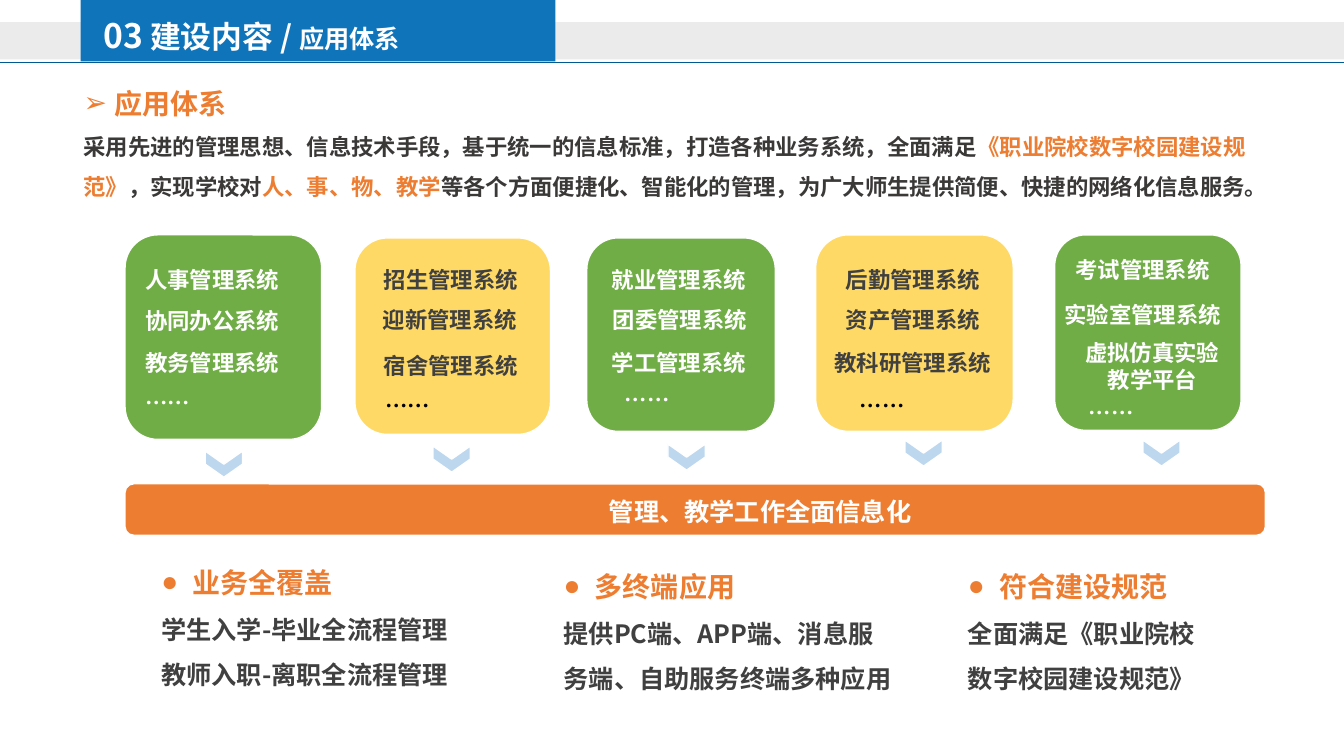
from dataclasses import dataclass

from lxml.etree import SubElement
from pptx import Presentation
from pptx.dml.color import RGBColor
from pptx.enum.shapes import MSO_CONNECTOR, MSO_SHAPE as SHAPE
from pptx.enum.text import PP_ALIGN as ALIGN
from pptx.oxml.ns import qn
from pptx.util import Pt

PX = 9144  # EMU per px, 100 px to the inch
FONT = "Noto Sans CJK SC"
WHITE, BLACK, DARK, INK = "FFFFFF", "000000", "404040", "3B3838"
ORANGE, GREEN, YELLOW = "ED7D31", "70AD47", "FFD966"
BLUE, NAVY, PALE, GREY = "1074BB", "015A92", "BDD7EE", "D9D9D9"


@dataclass
class Label:
    text: str
    x: int
    y: int
    w: int = 156
    h: int = 37


@dataclass
class Card:
    box: tuple[int, int, int, int]
    fill: str
    color: str
    labels: list[Label]
    dots: Label
    arrow: tuple[int, int]


@dataclass
class Benefit:
    box: tuple[int, int, int, int]
    title: str
    lines: list[str]


CARDS = [
    Card((124, 233, 195, 203), GREEN, WHITE,
         [Label("人事管理系统", 134, 259, 185), Label("协同办公系统", 134, 300, 185),
          Label("教务管理系统", 134, 341, 185)],
         Label("……", 134, 381, 185), (209, 442)),
    Card((352, 236, 194, 195), YELLOW, DARK,
         [Label("招生管理系统", 371, 259), Label("迎新管理系统", 370, 299),
          Label("宿舍管理系统", 371, 344)],
         Label("……", 372, 384, 185), (435, 437)),
    Card((582, 236, 187, 192), GREEN, WHITE,
         [Label("就业管理系统", 597, 259), Label("团委管理系统", 598, 299),
          Label("学工管理系统", 597, 341)],
         Label("……", 610, 378, 185), (668, 435)),
    Card((809, 233, 196, 195), YELLOW, DARK,
         [Label("后勤管理系统", 829, 259), Label("资产管理系统", 829, 299),
          Label("教科研管理系统", 818, 341, 187)],
         Label("……", 843, 384, 185), (903, 431)),
    Card((1046, 233, 185, 194), GREEN, WHITE,
         [Label("考试管理系统", 1057, 249, 164), Label("实验室管理系统", 1046, 294, 181),
          Label("虚拟仿真实验\n教学平台", 1046, 332, 194, 64)],
         Label("……", 1070, 391, 185), (1139, 431)),
]

BENEFITS = [
    Benefit((160, 544, 318, 135), "业务全覆盖",
            ["学生入学-毕业全流程管理", "教师入职-离职全流程管理"]),
    Benefit((559, 548, 332, 126), "多终端应用",
            ["提供PC端、APP端、消息服务端、自助服务终端多种应用"]),
    Benefit((960, 548, 248, 126), "符合建设规范",
            ["全面满足《职业院校数字校园建设规范》"]),
]

prs = Presentation()
prs.slide_width, prs.slide_height = 1333 * PX, 750 * PX
slide = prs.slides.add_slide(prs.slide_layouts[6])


def rgb(color: str) -> RGBColor:
    return RGBColor.from_string(color)


def add_box(kind, x: int, y: int, w: int, h: int, fill: str, line: str = ""):
    s = slide.shapes.add_shape(kind, x * PX, y * PX, w * PX, h * PX)
    s.shadow.inherit = False
    s.fill.solid()
    s.fill.fore_color.rgb = rgb(fill)
    if line:
        s.line.color.rgb = rgb(line)
        s.line.width = Pt(1)
    else:
        s.line.fill.background()
    return s


def add_frame(x: int, y: int, w: int, h: int, inset: bool = True):
    tf = slide.shapes.add_textbox(x * PX, y * PX, w * PX, h * PX).text_frame
    tf.word_wrap = True
    if not inset:
        tf.margin_left = tf.margin_right = tf.margin_top = tf.margin_bottom = 0
    return tf


def add_text(tf, *runs: tuple[str, int, str], first: bool = False, align=ALIGN.LEFT,
             spacing: float = 1.0, bullet: str = "") -> None:
    """Write one paragraph from (text, size, colour) runs."""
    p = tf.paragraphs[0] if first else tf.add_paragraph()
    p.alignment, p.line_spacing = align, spacing
    if bullet:
        pPr = p._p.get_or_add_pPr()
        pPr.set("marL", str(31 * PX))
        pPr.set("indent", str(-31 * PX))
        SubElement(pPr, qn("a:buFont"), typeface="Arial")
        SubElement(pPr, qn("a:buChar"), char=bullet)
    for text, size, color in runs:
        r = p.add_run()
        r.text = text
        r.font.size, r.font.bold, r.font.name = Pt(size), True, FONT
        r.font.color.rgb = rgb(color)
        SubElement(r._r.get_or_add_rPr(), qn("a:ea"), typeface=FONT)


def add_label(label: Label, color: str, size: int = 16) -> None:
    tf = add_frame(label.x, label.y, label.w, label.h)
    lines = label.text.split("\n")
    align = ALIGN.CENTER if len(lines) > 1 else ALIGN.LEFT
    for i, line in enumerate(lines):
        add_text(tf, (line, size, color), first=i == 0, align=align)


# Header band, rule and title
band = add_box(SHAPE.RECTANGLE, 0, 22, 1333, 37, GREY)
SubElement(band._element.spPr.find(".//" + qn("a:srgbClr")), qn("a:alpha"), val="50000")
rule = slide.shapes.add_connector(MSO_CONNECTOR.STRAIGHT, 0, 62 * PX, 1333 * PX, 62 * PX)
rule.line.color.rgb = rgb(NAVY)
rule.line.width = Pt(0.75)
SubElement(rule._element.spPr, qn("a:effectLst"))
add_box(SHAPE.RECTANGLE, 80, 0, 471, 61, BLUE)
add_text(add_frame(93, 14, 420, 48), ("03", 24, WHITE), (" 建设内容 / ", 22, WHITE),
         ("应用体系", 18, WHITE), first=True, spacing=0.9)

# Introduction
intro = add_frame(73, 64, 1201, 141)
add_text(intro, ("应用体系", 20, ORANGE), first=True, spacing=1.5, bullet="➢")
add_text(intro,
         ("采用先进的管理思想、信息技术手段，基于统一的信息标准，打造各种业务系统，全面满足", 16, INK),
         ("《职业院校数字校园建设规范》", 16, ORANGE),
         ("，实现学校对", 16, INK),
         ("人、事、物、教学", 16, ORANGE),
         ("等各个方面便捷化、智能化的管理，为广大师生提供简便、快捷的网络化信息服务。", 16, INK),
         spacing=1.5)

# System cards with their arrows
for card in CARDS:
    add_box(SHAPE.ROUNDED_RECTANGLE, *card.box, card.fill, WHITE)
    for label in card.labels:
        add_label(label, card.color)
    add_label(card.dots, WHITE if card.color == WHITE else BLACK)
    add_box(SHAPE.CHEVRON, *card.arrow, 26, 37, PALE, WHITE).rotation = 90

# Summary bar
add_box(SHAPE.ROUNDED_RECTANGLE, 124, 480, 1131, 51, ORANGE, WHITE)
add_label(Label("管理、教学工作全面信息化", 594, 487, 349, 40), WHITE, size=18)

# Benefits
for benefit in BENEFITS:
    tf = add_frame(*benefit.box, inset=False)
    add_text(tf, (benefit.title, 20, ORANGE), first=True, spacing=1.5, bullet="●")
    for line in benefit.lines:
        add_text(tf, (line, 18, DARK), spacing=1.5)

prs.save("out.pptx")
